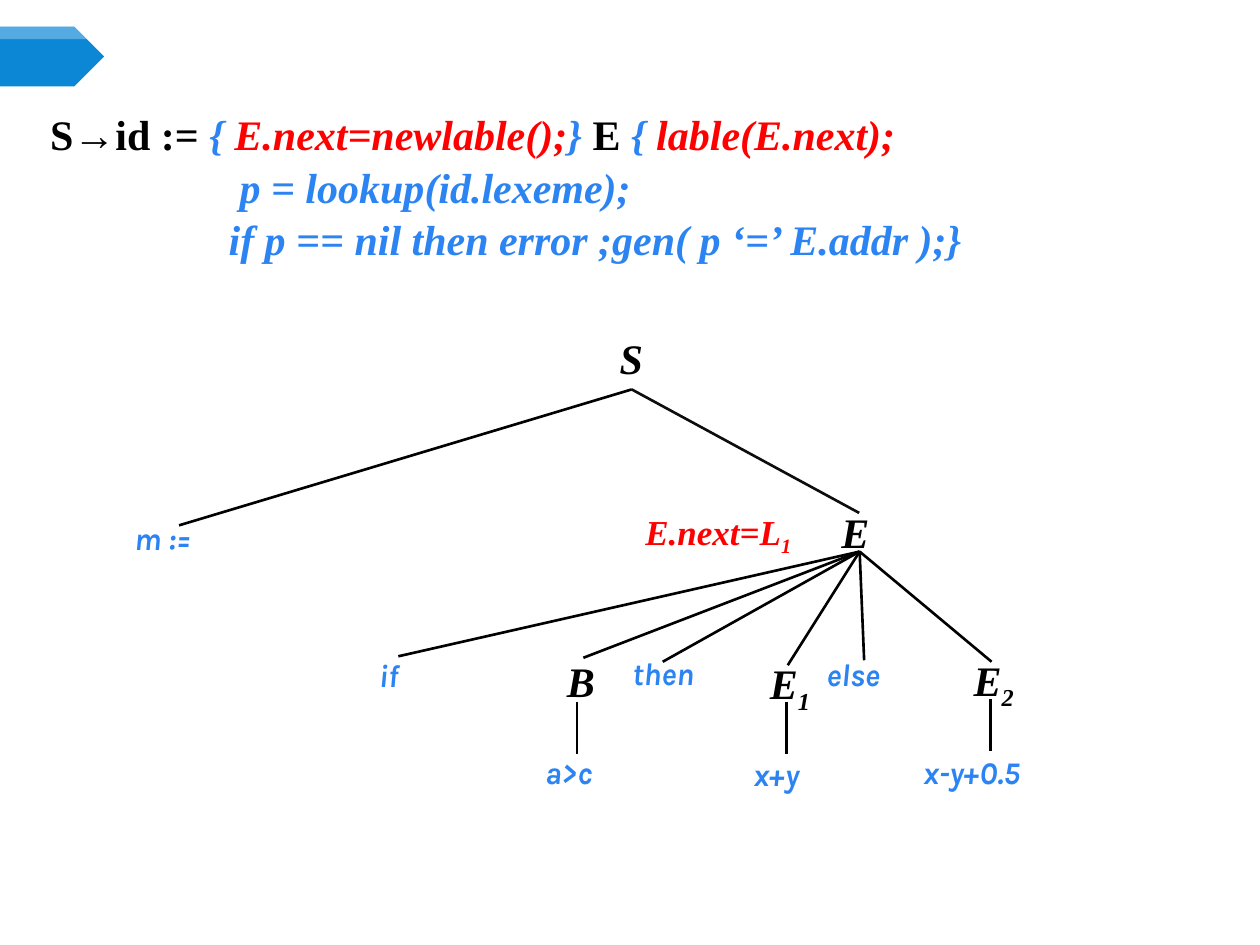
import dataclasses

import lxml.etree
import pptx
import pptx.dml.color
import pptx.enum.shapes
import pptx.enum.text
import pptx.oxml.ns
import pptx.util

Cm = pptx.util.Cm
Pt = pptx.util.Pt
qn = pptx.oxml.ns.qn


@dataclasses.dataclass(frozen=True)
class Theme:
    black: str = "000000"
    branch: str = "0D0D0D"
    blue: str = "2C84F3"
    red: str = "FF0000"
    marker: str = "0B87D6"
    white: str = "FFFFFF"
    serif: str = "Times New Roman"
    sans: str = "Karla"
    symbol_size: int = 24
    note_size: int = 20
    token_size: int = 18
    line_width: float = 1.5


def rgb(color):
    return pptx.dml.color.RGBColor.from_string(color)


def add_text(p, text, *, font, size, color, bold=True, italic=True, subscript=False):
    r = p.add_run()
    r.text = text
    r.font.name = font
    r.font.size = Pt(size)
    r.font.bold = bold
    r.font.italic = italic
    r.font.color.rgb = rgb(color)
    if subscript:
        r.font._element.set("baseline", "-25000")


class TreeSlide:
    def __init__(self, prs, theme):
        self.theme = theme
        self.slide = prs.slides.add_slide(prs.slide_layouts[6])

    def paint(self, sp, color, alpha=None):
        """Give a flat fill; alpha is the opacity in percent."""
        sp.shadow.inherit = False
        sp.line.fill.background()
        sp.fill.solid()
        sp.fill.fore_color.rgb = rgb(color)
        if alpha is not None:
            clr = sp._element.spPr.find(qn("a:solidFill")).find(qn("a:srgbClr"))
            lxml.etree.SubElement(clr, qn("a:alpha")).set("val", str(alpha * 1000))

    def marker(self):
        top, height = 0.54, 1.2
        sp = self.slide.shapes.add_shape(
            pptx.enum.shapes.MSO_SHAPE.PENTAGON, 0, Cm(top), Cm(2.1), Cm(height))
        sp.adjustments[0] = 0.5
        self.paint(sp, self.theme.marker)

        band = 0.25
        fb = self.slide.shapes.build_freeform(0, Cm(top))
        fb.add_line_segments([(Cm(1.5), Cm(top)), (Cm(1.5 + band), Cm(top + band)),
                              (0, Cm(top + band))])
        self.paint(fb.convert_to_shape(), self.theme.white, alpha=30)

    def box(self, x, y, width, height, wrap=False):
        sp = self.slide.shapes.add_textbox(Cm(x), Cm(y), Cm(width), Cm(height))
        sp.text_frame.word_wrap = wrap
        sp.text_frame.auto_size = pptx.enum.text.MSO_AUTO_SIZE.SHAPE_TO_FIT_TEXT
        return sp

    def symbol(self, x, y, width, name, index=""):
        """Add a nonterminal, with its index as a subscript."""
        sp = self.box(x, y, width, 1.27)
        p = sp.text_frame.paragraphs[0]
        style = dict(font=self.theme.serif, size=self.theme.symbol_size,
                     color=self.theme.black)
        add_text(p, name, **style)
        if index:
            add_text(p, index, subscript=True, **style)
        return sp

    def token(self, x, y, width, text):
        sp = self.box(x, y, width, 1.02)
        add_text(sp.text_frame.paragraphs[0], text, font=self.theme.sans,
                 size=self.theme.token_size, color=self.theme.blue)

    def attribute(self, x, y, width, text, index):
        p = self.box(x, y, width, 1.12, wrap=True).text_frame.paragraphs[0]
        style = dict(font=self.theme.serif, size=self.theme.note_size,
                     color=self.theme.red)
        add_text(p, text, **style)
        add_text(p, index, subscript=True, **style)

    def line(self, start, end, color=None, parent=None):
        c = self.slide.shapes.add_connector(
            pptx.enum.shapes.MSO_CONNECTOR.STRAIGHT, *map(Cm, start + end))
        if parent is not None:
            c.begin_connect(parent, 2)
        c.line.color.rgb = rgb(color or self.theme.black)
        c.line.width = Pt(self.theme.line_width)
        lxml.etree.SubElement(c._element.spPr, qn("a:effectLst"))

    def scheme(self, x, y, width, height, lines):
        """Add the translation scheme from (indent in cm, runs) pairs."""
        tf = self.box(x, y, width, height, wrap=True).text_frame
        for i, (indent, runs) in enumerate(lines):
            p = tf.paragraphs[0] if i == 0 else tf.add_paragraph()
            if i:
                p.space_before = Pt(1.3)
                p._p.get_or_add_pPr().set("marL", str(Cm(indent)))
            for text, color in runs:
                add_text(p, text, font=self.theme.serif, size=self.theme.symbol_size,
                         color=color, italic=color != self.theme.black)


def main():
    prs = pptx.Presentation()
    prs.slide_width, prs.slide_height = Cm(25.4), Cm(19.05)
    theme = Theme()
    s = TreeSlide(prs, theme)
    s.marker()

    black, blue, red = theme.black, theme.blue, theme.red
    s.scheme(0.76, 2.06, 20.83, 4.37, [
        (0, [("S→id := ", black), ("{ ", blue), ("E.next=newlable();", red),
             ("} ", blue), ("E ", black), ("{ ", blue), ("lable(E.next);", red)]),
        (3.82, [("p = lookup(id.lexeme);", blue)]),
        (3.6, [("if p == nil then error ;gen( p ‘=’ E.addr );}", blue)]),
    ])

    root = s.symbol(12.24, 6.58, 0.99, "S")
    for symbol in [(16.71, 10.08, 1.09, "E"), (11.18, 13.08, 1.07, "B"),
                   (15.27, 13.13, 1.35, "E", "1"), (19.38, 13.06, 1.35, "E", "2")]:
        s.symbol(*symbol)

    for token in [(2.46, 10.34, 2.24, "m :="), (7.39, 13.11, 0.94, "if"),
                  (12.5, 13.06, 1.96, "then"), (16.41, 13.08, 1.96, "else"),
                  (10.74, 15.06, 1.75, "a>c"), (14.94, 15.09, 1.78, "x+y"),
                  (18.36, 15.06, 3.05, "x-y+0.5")]:
        s.token(*token)

    root_end = (12.73, 7.85)
    s.line(root_end, (3.61, 10.59), parent=root)
    s.line(root_end, (17.32, 10.34), color=theme.branch, parent=root)

    for child in [(8.03, 13.23), (11.76, 13.26), (13.36, 13.34),
                  (15.88, 13.41), (17.42, 13.31), (19.99, 13.34)]:
        s.line((17.33, 11.12), child)

    for x, y in [(11.63, 14.15), (15.85, 14.15), (19.97, 14.1)]:
        s.line((x, y), (x, y + 1.04))

    s.attribute(12.76, 10.16, 3.78, "E.next=L", "1")
    prs.save("out.pptx")


if __name__ == "__main__":
    main()
